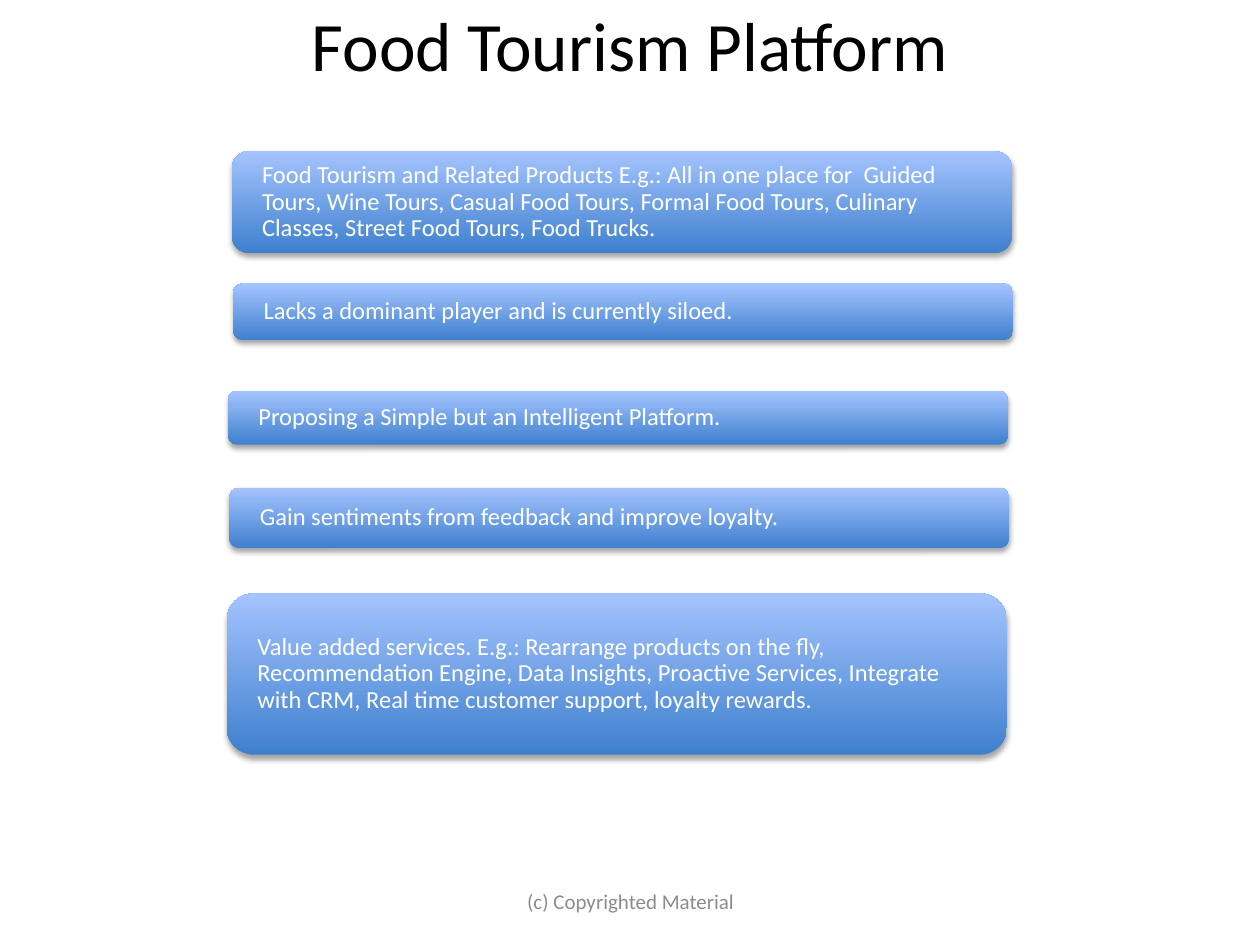
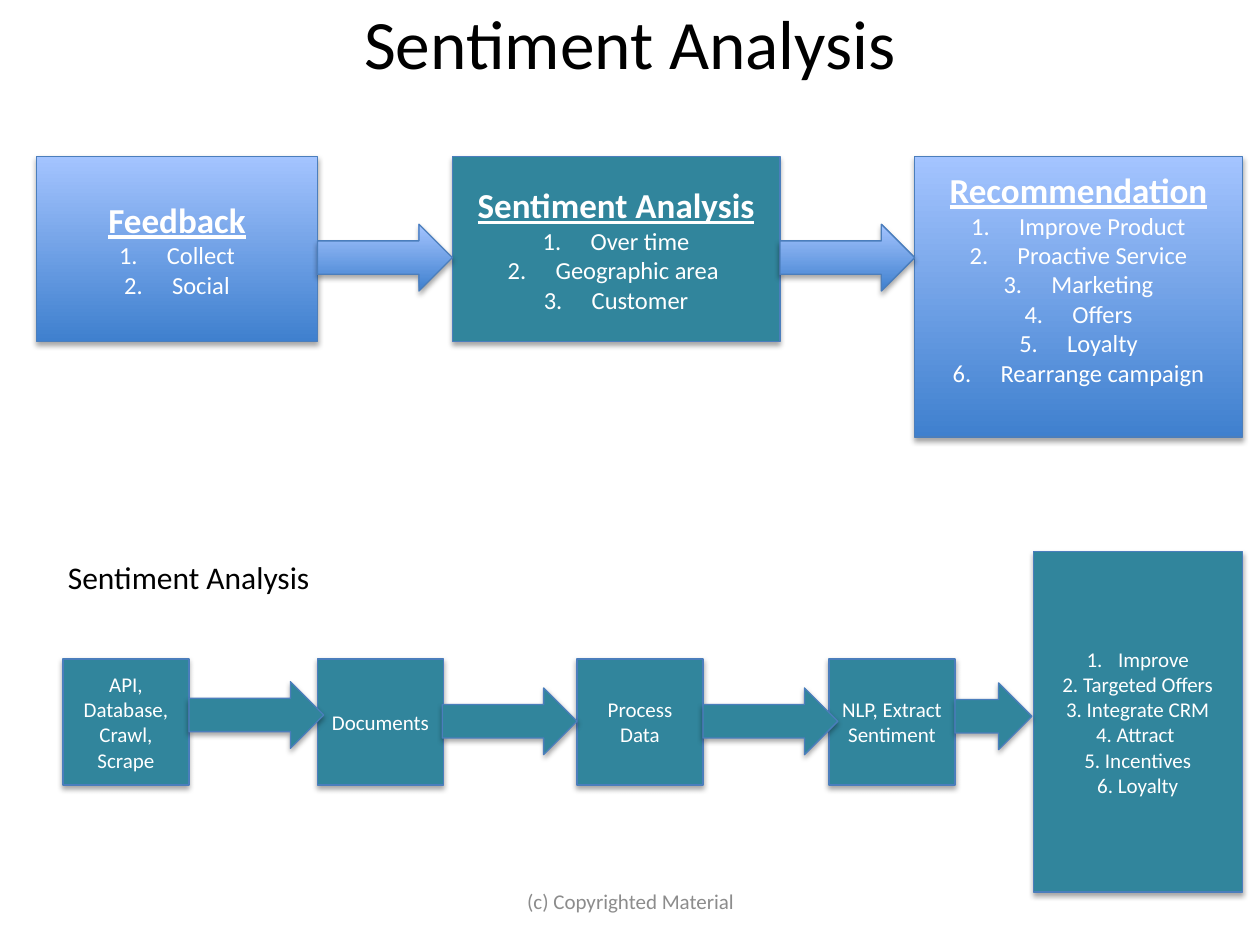
from pptx import Presentation
from pptx.util import Emu, Pt
from pptx.dml.color import RGBColor
from pptx.enum.shapes import MSO_SHAPE
from pptx.enum.text import MSO_ANCHOR, PP_ALIGN
from pptx.oxml import parse_xml
from pptx.oxml.ns import nsdecls
from lxml.etree import SubElement

PX_PER_INCH = 100
FONT = "Calibri"
BLACK, WHITE, GREY = "000000", "FFFFFF", "8C8C8C"
BLUE_LOW, BLUE_HIGH = "3F80CE", "A4C4FF"
TEAL, OUTLINE = "31859C", "4B7EBC"
GRADIENT = (BLUE_LOW, BLUE_HIGH)
FOOTER = "(c) Copyrighted Material"
ARROW_H = 53


def px(n):
    return Emu(n * 914400 // PX_PER_INCH)


def rgb(value):
    return RGBColor.from_string(value)


def add_shadow(sp):
    sp._element.spPr.append(parse_xml(
        f'<a:effectLst {nsdecls("a")}>'
        '<a:outerShdw blurRad="39370" dist="22860" dir="5400000" rotWithShape="0">'
        f'<a:srgbClr val="{BLACK}"><a:alpha val="35000"/></a:srgbClr>'
        '</a:outerShdw></a:effectLst>'))


def add_block(s, kind, x, y, w, h, fill, line=OUTLINE):
    sp = s.shapes.add_shape(kind, px(x), px(y), px(w), px(h))
    if isinstance(fill, tuple):
        sp.fill.gradient()
        sp.fill.gradient_angle = 90
        for stop, color in zip(sp.fill.gradient_stops, fill):
            stop.color.rgb = rgb(color)
    else:
        sp.fill.solid()
        sp.fill.fore_color.rgb = rgb(fill)
    if line:
        sp.line.color.rgb = rgb(line)
        sp.line.width = Pt(0.75)
    else:
        sp.line.fill.background()
    add_shadow(sp)
    return sp


def number(p, indent):
    pPr = p._p.get_or_add_pPr()
    pPr.set("marL", str(px(indent)))
    pPr.set("indent", str(-px(indent)))
    bullet = SubElement(pPr, "{http://schemas.openxmlformats.org/drawingml/2006/main}buAutoNum")
    bullet.set("type", "arabicPeriod")


def write(sp, lines, size, color, align=PP_ALIGN.CENTER):
    tf = sp.text_frame
    tf.word_wrap = True
    tf.vertical_anchor = MSO_ANCHOR.MIDDLE
    tf.text = "\n".join(lines)
    for p in tf.paragraphs:
        p.alignment = align
        for r in p.runs:
            r.font.name = FONT
            r.font.size = Pt(size)
            r.font.color.rgb = rgb(color)
    return tf


def add_label(s, x, y, w, h, text, size, color, align=PP_ALIGN.CENTER):
    sp = s.shapes.add_textbox(px(x), px(y), px(w), px(h))
    return write(sp, [text], size, color, align)


def add_frame(prs, title, y, h):
    s = prs.slides.add_slide(prs.slide_layouts[6])
    add_label(s, 50, y, 900, h, title, 39.6, BLACK)
    add_label(s, 342, 695, 317, 40, FOOTER, 12, GREY)
    return s


def add_banner(s, x, y, w, h, text):
    sp = add_block(s, MSO_SHAPE.ROUNDED_RECTANGLE, x, y, w, h, GRADIENT, None)
    tf = write(sp, [text], 14, WHITE, PP_ALIGN.LEFT)
    tf.margin_left = tf.margin_right = px(24 - round(h * 0.05))
    tf.margin_top = tf.margin_bottom = 0
    tf.paragraphs[0].line_spacing = 0.9


def add_card(s, x, y, w, h, fill, heading, items, bottom=5):
    sp = add_block(s, MSO_SHAPE.RECTANGLE, x, y, w, h, fill)
    tf = write(sp, [heading, *items], 14, WHITE)
    tf.margin_bottom = px(bottom)
    font = tf.paragraphs[0].runs[0].font
    font.size, font.bold, font.underline = Pt(20), True, True
    for p in tf.paragraphs[1:]:
        number(p, 38)


def add_overview(s, x, y):
    cards = [
        (0, 223, 147, GRADIENT, "Feedback", ["Collect", "Social"], 5),
        (330, 260, 147, TEAL, "Sentiment Analysis",
         ["Over time", "Geographic area ", "Customer"], 5),
        (697, 260, 223, GRADIENT, "Recommendation",
         ["Improve Product", "Proactive Service", "Marketing", "Offers",
          "Loyalty", "Rearrange campaign"], 35),
    ]
    for dx, w, h, fill, heading, items, bottom in cards:
        add_card(s, x + dx, y, w, h, fill, heading, items, bottom)
    for card, following in zip(cards, cards[1:]):
        right = card[0] + card[1]
        add_block(s, MSO_SHAPE.RIGHT_ARROW, x + right, y + 54,
                  following[0] - right, ARROW_H, GRADIENT)


def add_pipeline(s, x, y):
    tf = add_label(s, x, y, 215, 40, "Sentiment Analysis", 18, BLACK, PP_ALIGN.LEFT)
    tf.word_wrap = False
    steps = [
        (6, ["API, Database, Crawl, Scrape"]),
        (208, ["Documents"]),
        (414, ["Process", "Data"]),
        (614, ["NLP, Extract Sentiment"]),
    ]
    for dx, lines in steps:
        sp = add_block(s, MSO_SHAPE.RECTANGLE, x + dx, y + 85, 100, 100, TEAL)
        write(sp, lines, 12, WHITE)
    sp = add_block(s, MSO_SHAPE.RECTANGLE, x + 776, y, 166, 270, TEAL)
    tf = write(sp, ["Improve", "2. Targeted Offers", "3. Integrate CRM",
                    "4. Attract ", "5. Incentives", "6. Loyalty"], 12, WHITE)
    number(tf.paragraphs[0], 25)
    for dx, dy, w in [(106, 103, 107), (307, 108, 107), (514, 108, 107), (714, 104, 61)]:
        add_block(s, MSO_SHAPE.RIGHT_ARROW, x + dx, y + dy, w, ARROW_H, TEAL)


def build_platform(prs):
    s = add_frame(prs, "Food Tourism Platform", 2, 66)
    banners = [
        (184, 120, 81, "Food Tourism and Related Products E.g.: All in one place for  Guided "
         "Tours, Wine Tours, Casual Food Tours, Formal Food Tours, Culinary Classes, "
         "Street Food Tours, Food Trucks."),
        (185, 225, 45, "Lacks a dominant player and is currently siloed."),
        (181, 310, 43, "Proposing a Simple but an Intelligent Platform."),
        (182, 387, 48, "Gain sentiments from feedback and improve loyalty."),
        (180, 471, 128, "Value added services. E.g.: Rearrange products on the fly, "
         "Recommendation Engine, Data Insights, Proactive Services, Integrate with CRM, "
         "Real time customer support, loyalty rewards."),
    ]
    for x, y, h, text in banners:
        add_banner(s, x, y, 619, h, text)


def build_sentiment(prs):
    s = add_frame(prs, "Sentiment Analysis", -5, 76)
    add_overview(s, 29, 124)
    add_pipeline(s, 44, 438)


def main():
    prs = Presentation()
    prs.slide_width, prs.slide_height = px(1000), px(750)
    build_platform(prs)
    build_sentiment(prs)
    prs.save("out.pptx")


if __name__ == "__main__":
    main()
